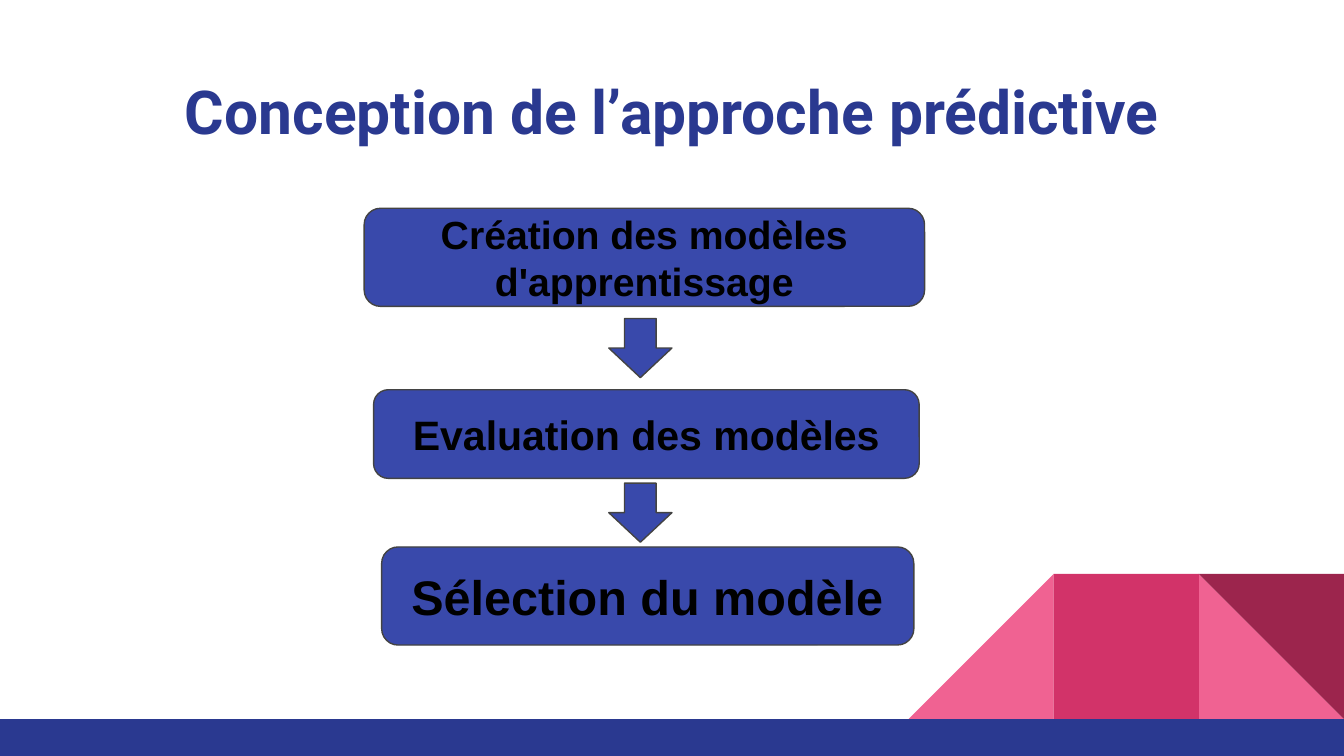
from pptx import Presentation
from pptx.dml.color import RGBColor
from pptx.enum.shapes import MSO_SHAPE as Shape
from pptx.enum.text import MSO_ANCHOR as Anchor, PP_ALIGN as Align
from pptx.util import Inches, Pt

NAVY = RGBColor(0x2A, 0x39, 0x90)
INDIGO = RGBColor(0x39, 0x49, 0xAB)
GRAY = RGBColor(0x43, 0x43, 0x43)
BLACK = RGBColor(0, 0, 0)
PINK = RGBColor(0xF0, 0x62, 0x92)
ROSE = RGBColor(0xD2, 0x33, 0x69)
WINE = RGBColor(0x9C, 0x25, 0x4D)

TITLE = "Conception de l’approche prédictive"
STEPS = [
    ("Création des modèles d'apprentissage", 21, (2.71, 1.55, 4.17, 0.73)),
    ("Evaluation des modèles", 22, (2.78, 2.9, 4.06, 0.66)),
    ("Sélection du modèle", 26, (2.84, 4.07, 3.96, 0.73)),
]
TILES = [
    (2, Shape.RIGHT_TRIANGLE, 0, PINK),
    (0, Shape.RIGHT_TRIANGLE, 270, PINK),
    (1, Shape.RECTANGLE, 0, ROSE),
    (2, Shape.RIGHT_TRIANGLE, 180, WINE),
]
WIDTH = 10
HEIGHT = WIDTH * 9 / 16
TILE = 1.08
BAR_TOP = 5.35
ARROW_LEFT, ARROW_WIDTH, ARROW_HEIGHT = 4.53, 0.47, 0.44


def add_shape(kind, box, color, outlined=False):
    shape = slide.shapes.add_shape(kind, *map(Inches, box))
    shape.shadow.inherit = False
    shape.fill.solid()
    shape.fill.fore_color.rgb = color
    if outlined:
        shape.line.color.rgb = GRAY
        shape.line.width = Pt(0.75)
    else:
        shape.line.fill.background()
    return shape


def write(shape, text, anchor, name, size, color):
    frame = shape.text_frame
    frame.text = text
    margins = ("margin_left", "margin_top", "margin_right", "margin_bottom")
    layout = {"word_wrap": True, "vertical_anchor": anchor}
    layout.update(dict.fromkeys(margins, Inches(0.1)))
    for key, value in layout.items():
        setattr(frame, key, value)
    paragraph = frame.paragraphs[0]
    paragraph.alignment = Align.CENTER
    font = paragraph.runs[0].font
    for key, value in {"name": name, "size": Pt(size), "bold": True}.items():
        setattr(font, key, value)
    font.color.rgb = color


presentation = Presentation()
presentation.slide_width = Inches(WIDTH)
presentation.slide_height = Inches(HEIGHT)
slide = presentation.slides.add_slide(presentation.slide_layouts[5])

title = slide.shapes.title
title_box = {"left": 0.34, "top": 0.45, "width": 9.32, "height": 0.66}
for key, value in title_box.items():
    setattr(title, key, Inches(value))
write(title, TITLE, Anchor.TOP, "Roboto", 32.4, NAVY)

for column, kind, rotation, color in TILES:
    left = WIDTH - (3 - column) * TILE
    tile = add_shape(kind, (left, BAR_TOP - TILE, TILE, TILE), color)
    tile.rotation = rotation
add_shape(Shape.RECTANGLE, (0, BAR_TOP, WIDTH, HEIGHT - BAR_TOP), NAVY)

for text, size, box in STEPS:
    step = add_shape(Shape.ROUNDED_RECTANGLE, box, INDIGO, outlined=True)
    write(step, text, Anchor.MIDDLE, "Arial", size, BLACK)

boxes = [box for _, _, box in STEPS]
for upper, lower in zip(boxes, boxes[1:]):
    middle = (upper[1] + upper[3] + lower[1]) / 2
    arrow_box = (ARROW_LEFT, middle - ARROW_HEIGHT / 2, ARROW_WIDTH, ARROW_HEIGHT)
    add_shape(Shape.DOWN_ARROW, arrow_box, INDIGO, outlined=True)

presentation.save("out.pptx")
